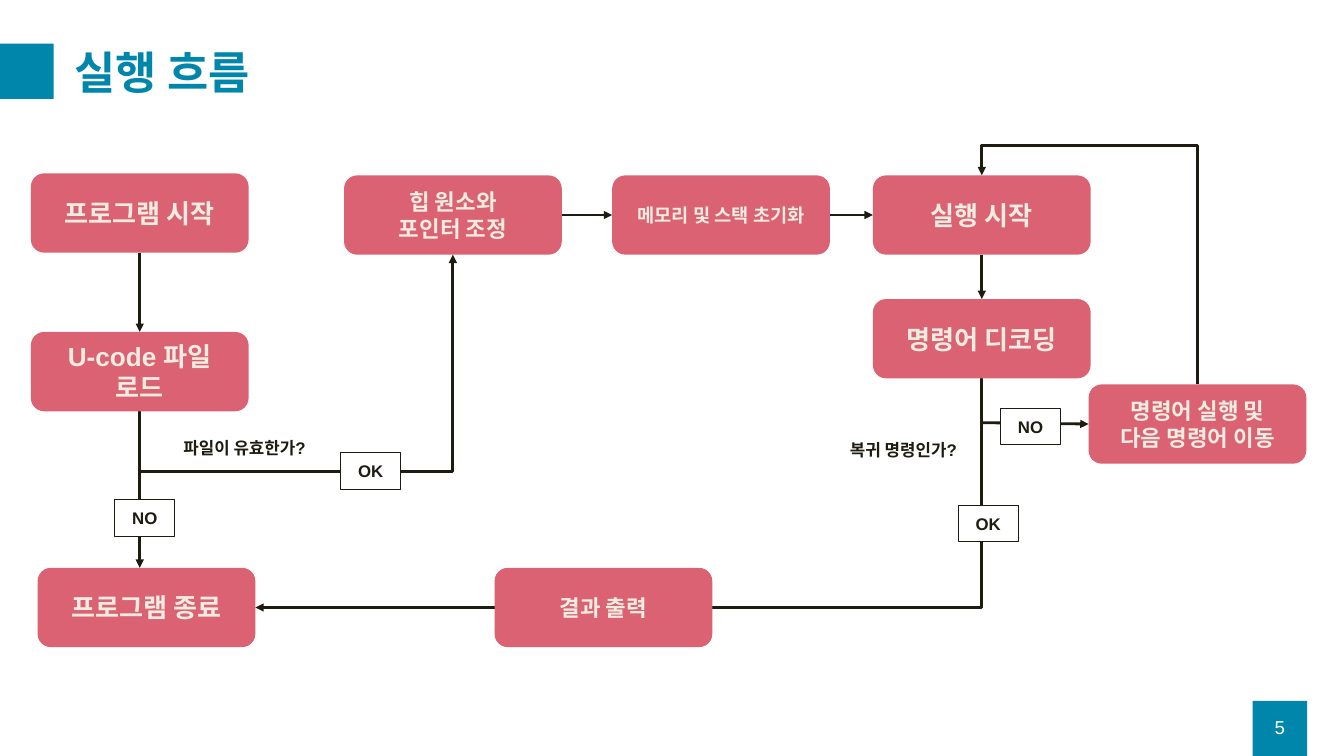
from lxml import etree
from pptx import Presentation
from pptx.dml.color import RGBColor
from pptx.enum.shapes import MSO_CONNECTOR, MSO_SHAPE
from pptx.enum.text import MSO_ANCHOR, PP_ALIGN
from pptx.oxml.ns import qn
from pptx.util import Inches, Pt

RECTANGLE, ROUNDED = MSO_SHAPE.RECTANGLE, MSO_SHAPE.ROUNDED_RECTANGLE
STRAIGHT, ELBOW = MSO_CONNECTOR.STRAIGHT, MSO_CONNECTOR.ELBOW
LEFT, CENTER = PP_ALIGN.LEFT, PP_ALIGN.CENTER
TOP, MIDDLE = MSO_ANCHOR.TOP, MSO_ANCHOR.MIDDLE
COLORS = {"teal": "0086AB", "rose": "DA6272", "cream": "EEECE1",
          "ink": "1E1C11", "white": "FFFFFF"}
FONT = "Arial"
COLUMNS, ROWS = 20, 11.25
CELL = Inches(1)
STEP = (3.24, 1.18)
TAG = (0.89, 0.54)
MARK = (0.81, 0.82)

# name: (column, row, text size, lines)
STEPS = {
    "start": (0.46, 0.58, 28, ["프로그램 시작"]),
    "load": (0.46, 2.94, 28, ["U-code 파일 로드"]),
    "finish": (0.56, 6.45, 28, ["프로그램 종료"]),
    "adjust": (5.12, 0.61, 24, ["힙 원소와", "포인터 조정"]),
    "reset": (9.11, 0.61, 20, ["메모리 및 스택 초기화"]),
    "run": (12.99, 0.61, 28, ["실행 시작"]),
    "decode": (12.99, 2.45, 28, ["명령어 디코딩"]),
    "advance": (16.2, 3.72, 24, ["명령어 실행 및", "다음 명령어 이동"]),
    "output": (7.36, 6.45, 24, ["결과 출력"]),
}
TAGS = [(1.71, 5.44, "NO"), (5.07, 4.74, "OK"), (14.26, 5.52, "OK"), (14.89, 4.08, "NO")]
QUESTIONS = [(2.63, 4.46, "파일이 유효한가?"), (12.55, 4.49, "복귀 명령인가?")]


def color(name):
    """Return the named colour."""
    return RGBColor.from_string(COLORS[name])


def cells(*values):
    """Turn grid counts into lengths."""
    return [int(value * CELL) for value in values]


def write(shape, lines, size, ink, bold=True, align=CENTER, anchor=MIDDLE):
    """Write one paragraph for each line in a shape."""
    frame = shape.text_frame
    frame.word_wrap = True
    frame.vertical_anchor = anchor
    frame.text = "\n".join(lines)
    for para in frame.paragraphs:
        para.alignment = align
        para.font.name, para.font.size, para.font.bold = FONT, Pt(size), bold
        para.font.color.rgb = color(ink)


def add_block(page, kind, box, fill, outline=None):
    """Add a filled shape, outlined if a colour is named."""
    shape = page.shapes.add_shape(kind, *cells(*box))
    shape.shadow.inherit = False
    shape.fill.solid()
    shape.fill.fore_color.rgb = color(fill)
    if outline:
        shape.line.color.rgb = color(outline)
        shape.line.width = Pt(1)
    else:
        shape.line.fill.background()
    return shape


def add_label(page, box, text, size, ink, **style):
    """Add a line of free text."""
    write(page.shapes.add_textbox(*cells(*box)), [text], size, ink, **style)


def add_arrow(page, begin, end, kind=STRAIGHT):
    """Add a connector with a triangle at its end."""
    arrow = page.shapes.add_connector(kind, *cells(*begin, *end))
    arrow.line.color.rgb = color("ink")
    arrow.line.width = Pt(3)
    properties = arrow._element.spPr
    etree.SubElement(properties.find(qn("a:ln")), qn("a:tailEnd"), type="triangle")
    etree.SubElement(properties, qn("a:effectLst"))
    return properties


def add_corner(page, begin, end):
    """Add an arrow that runs across and then turns once."""
    add_arrow(page, begin, end, ELBOW).find(qn("a:prstGeom")).set("prst", "bentConnector2")


def add_detour(page, begin, end, reach, upright=False):
    """Add an arrow that turns twice, at a share of its length."""
    if upright:
        middle_x, middle_y = (begin[0] + end[0]) / 2, (begin[1] + end[1]) / 2
        half_x, half_y = (end[0] - begin[0]) / 2, (end[1] - begin[1]) / 2
        begin = middle_x + half_y, middle_y - half_x
        end = middle_x - half_y, middle_y + half_x
    properties = add_arrow(page, begin, end, ELBOW)
    if upright:
        properties.find(qn("a:xfrm")).set("rot", str(270 * 60000))
    guides = properties.find(qn("a:prstGeom")).get_or_add_avLst()
    etree.SubElement(guides, qn("a:gd"), name="adj1", fmla=f"val {round(reach * 100000)}")


def add_header(page, box, text):
    """Place the title and the mark at its left."""
    left, top, width, height = box
    add_block(page, RECTANGLE, (left - 0.01, top + 0.13, *MARK), "teal")
    title = page.shapes.title
    title.left, title.top, title.width, title.height = cells(
        left + 1.01, top, width - 1.75, height)
    write(title, [text], 48, "teal", align=LEFT)
    title.text_frame.paragraphs[0].line_spacing = 0.9


def add_page_number(page, box, number):
    """Place the page number on its block."""
    left, top, width, _ = box
    add_block(page, RECTANGLE, box, "teal")
    add_label(page, (left, top + 0.09, width, 0.6), number, 20, "white", bold=False)


def add_arrows(page, spot):
    """Join the steps, whose left top corners are given."""
    width, height = STEP

    def side(name, across, down):
        """Return a point at shares of a step's size."""
        return spot[name][0] + across * width, spot[name][1] + down * height

    for first, second in (("adjust", "reset"), ("reset", "run")):
        add_arrow(page, side(first, 1, 0.5), side(second, 0, 0.5))
    for first, second in (("start", "load"), ("run", "decode")):
        add_arrow(page, side(first, 0.5, 1), side(second, 0.5, 0))
    exit_x, exit_y = side("load", 0.5, 1)
    add_arrow(page, (exit_x, exit_y), (exit_x, spot["finish"][1]))
    add_corner(page, (exit_x, exit_y + 0.9), side("adjust", 0.5, 1))
    target = side("advance", 0, 0.5)
    add_arrow(page, (side("decode", 0.5, 1)[0], target[1] - 0.02), target)
    add_detour(page, side("decode", 0, 0.5), side("finish", 1, 0.5), -0.176)
    add_detour(page, side("advance", 0.5, 0), side("run", 0.5, 0), 1.143, upright=True)


def add_flow(page, box):
    """Place the flow chart in its box."""
    left, top, _, _ = box
    spot = {name: (left + step[0], top + step[1]) for name, step in STEPS.items()}
    add_arrows(page, spot)
    for name, (_, _, size, lines) in STEPS.items():
        write(add_block(page, ROUNDED, (*spot[name], *STEP), "rose"), lines, size, "cream")
    for column, row, text in TAGS:
        tag = add_block(page, RECTANGLE, (left + column, top + row, *TAG), "white", "ink")
        write(tag, [text], 18, "ink")
    for column, row, text in QUESTIONS:
        add_label(page, (left + column, top + row, 4.11, 0.4), text, 18, "ink",
                  align=LEFT, anchor=TOP)


def main():
    """Build the deck and save it."""
    deck = Presentation()
    deck.slide_width, deck.slide_height = cells(COLUMNS, ROWS)
    page = deck.slides.add_slide(deck.slide_layouts[5])
    add_header(page, (0, 0.52, COLUMNS, 1.18), "실행 흐름")
    add_flow(page, (0, 2, COLUMNS, 8))
    add_page_number(page, (18.64, ROWS - MARK[1], *MARK), "5")
    deck.save("out.pptx")


if __name__ == "__main__":
    main()
